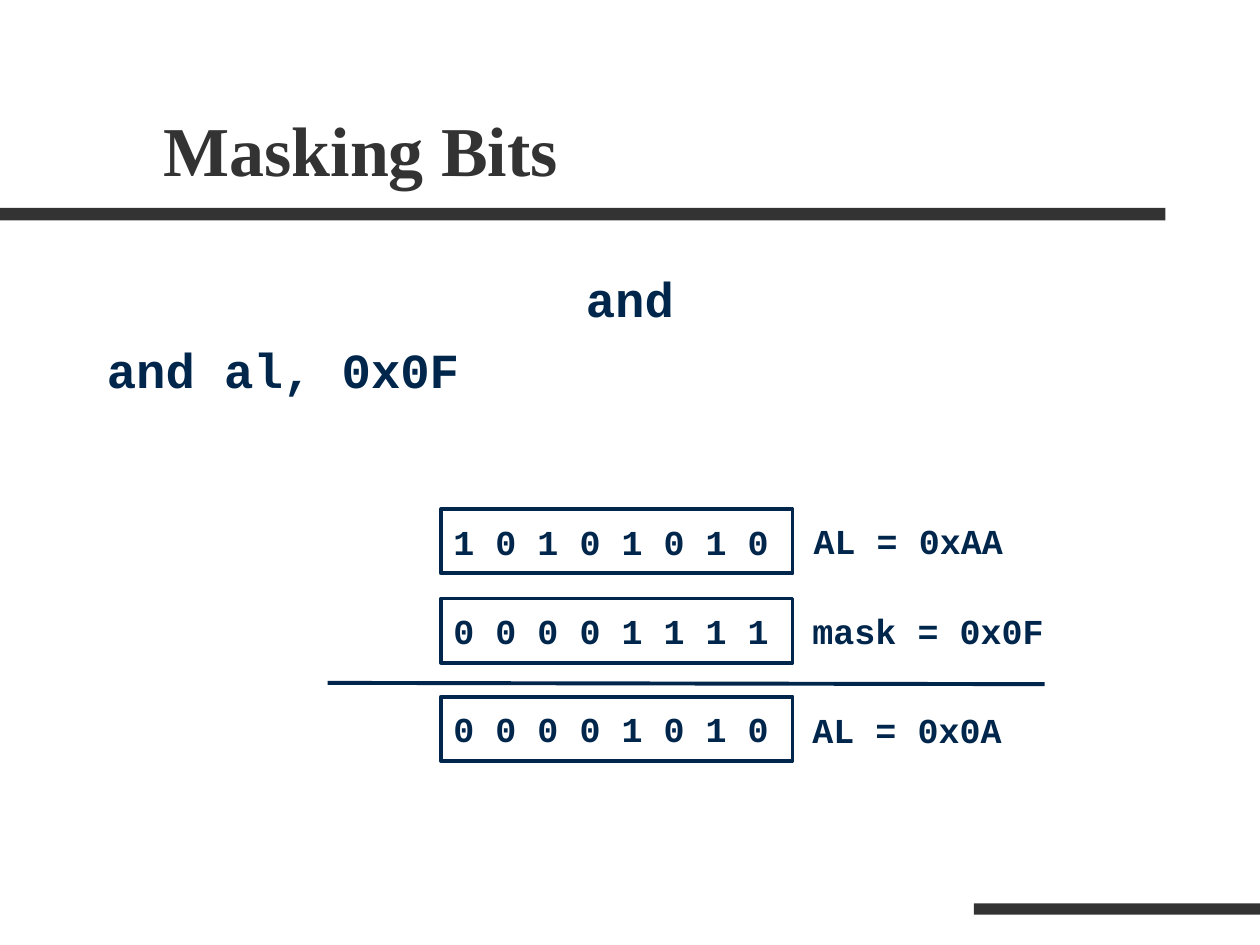
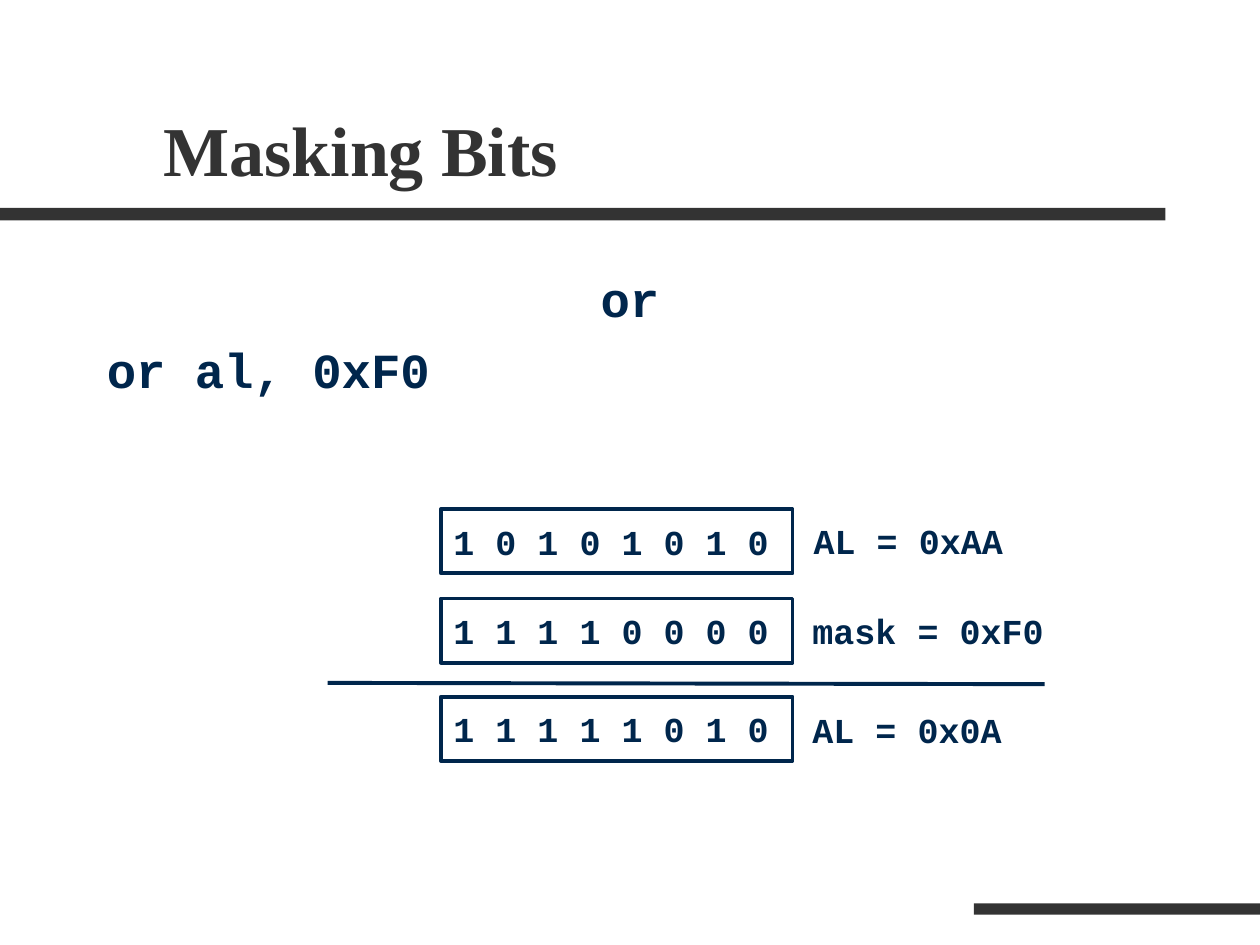
from lxml.etree import SubElement
from pptx import Presentation
from pptx.dml.color import RGBColor
from pptx.enum.shapes import MSO_CONNECTOR, MSO_SHAPE
from pptx.enum.text import MSO_ANCHOR, PP_ALIGN
from pptx.oxml.ns import qn
from pptx.util import Inches, Pt

TITLE = "Masking Bits"
SLIDES = [
    {"op": "and", "code": "and al, 0x0F", "rows": [
        ("1 0 1 0 1 0 1 0", "AL = 0xAA"),
        ("0 0 0 0 1 1 1 1", "mask = 0x0F"),
        ("0 0 0 0 1 0 1 0", "AL = 0x0A")]},
    {"op": "or", "code": "or al, 0xF0", "rows": [
        ("1 0 1 0 1 0 1 0", "AL = 0xAA"),
        ("1 1 1 1 0 0 0 0", "mask = 0xF0"),
        ("1 1 1 1 1 0 1 0", "AL = 0x0A")]},
]
COLORS = {"band": "333333", "ink": "00264C"}
SERIF, MONO = "Times New Roman", "Courier New"
BANDS = [(0, 1.65, 9.25, 0.1), (7.73, 7.17, 2.27, 0.09)]
# Top of each bit box, then left and top of its label
ROWS = [(4.04, 6.36, 4.07), (4.75, 6.35, 4.79), (5.53, 6.35, 5.57)]


def color(name):
    return RGBColor.from_string(COLORS[name])


def style(par, size, face=MONO, ink="ink"):
    font = par.font
    font.name, font.size, font.bold = face, Pt(size), True
    font.color.rgb = color(ink)


def add_text(slide, box, text, size, face=MONO, ink="ink", wrap=True):
    """Add a text box with one paragraph per line of text."""
    frame = slide.shapes.add_textbox(*map(Inches, box)).text_frame
    frame.word_wrap = wrap
    frame.text = text
    for par in frame.paragraphs:
        style(par, size, face, ink)
    return frame


def add_rect(slide, box):
    rect = slide.shapes.add_shape(MSO_SHAPE.RECTANGLE, *map(Inches, box))
    rect.shadow.inherit = False
    return rect


def add_frame(slide):
    """Add the bands and title that every slide shares."""
    for box in BANDS:
        band = add_rect(slide, box)
        band.fill.solid()
        band.fill.fore_color.rgb = color("band")
        band.line.fill.background()
    title = add_text(slide, (1.2, 0.31, 8.5, 1.25), TITLE, 40, SERIF, "band")
    title.vertical_anchor = MSO_ANCHOR.BOTTOM


def add_bits(slide, top, bits):
    rect = add_rect(slide, (3.5, top, 2.79, 0.51))
    rect.fill.background()
    rect.line.color.rgb = color("ink")
    rect.line.width = Pt(2.25)
    frame = rect.text_frame
    frame.word_wrap = False
    frame.vertical_anchor = MSO_ANCHOR.MIDDLE
    frame.text = bits
    par = frame.paragraphs[0]
    par.alignment = PP_ALIGN.LEFT
    style(par, 20)


def add_rule(slide):
    ends = map(Inches, (2.6, 5.42, 8.29, 5.43))
    rule = slide.shapes.add_connector(MSO_CONNECTOR.STRAIGHT, *ends)
    rule.line.color.rgb = color("ink")
    rule.line.width = Pt(2.25)
    SubElement(rule._element.spPr, qn("a:effectLst"))


def main():
    deck = Presentation()
    deck.slide_width, deck.slide_height = Inches(10), Inches(7.5)
    for data in SLIDES:
        slide = deck.slides.add_slide(deck.slide_layouts[6])
        add_frame(slide)
        body = add_text(slide, (0.75, 2.08, 8.5, 4.58),
                        data["op"] + "\n" + data["code"], 28)
        head, code = body.paragraphs
        head.alignment = PP_ALIGN.CENTER
        code.space_before = Pt(7)
        for (bits, label), (box_top, left, top) in zip(data["rows"], ROWS):
            add_bits(slide, box_top, bits)
            add_text(slide, (left, top, 2.1, 0.44), label, 20, wrap=False)
        add_rule(slide)
    deck.save("out.pptx")


if __name__ == "__main__":
    main()
